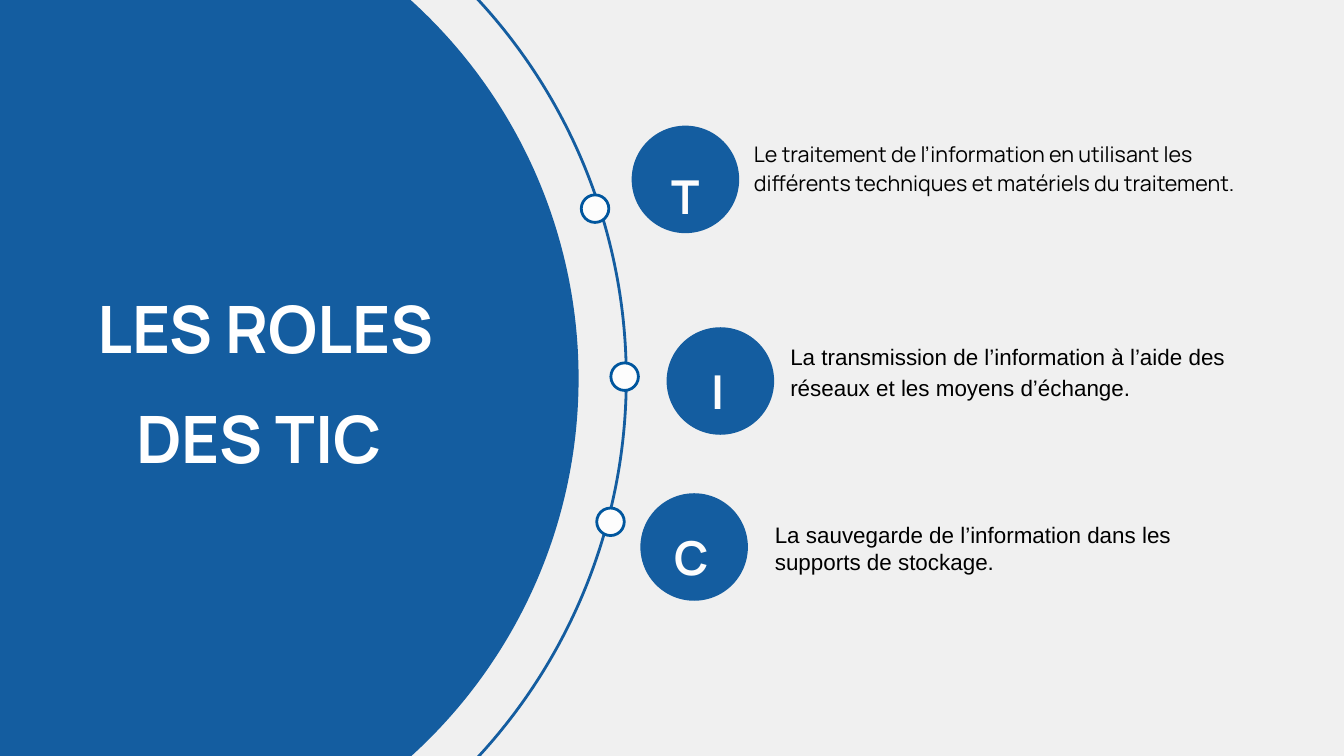
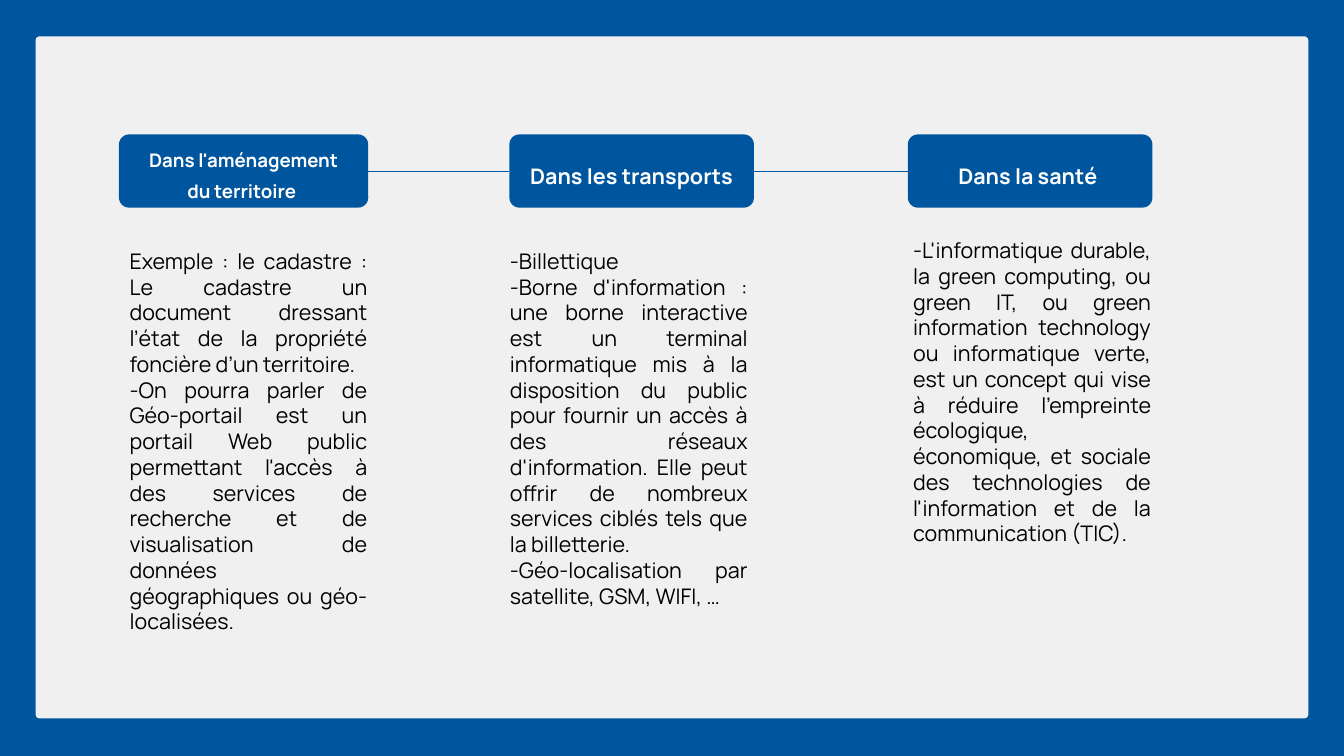
from lxml import etree
from pptx import Presentation
from pptx.dml.color import RGBColor
from pptx.enum import shapes, text
from pptx.oxml.ns import qn
from pptx.util import Inches, Pt

BLUE, DEEP, PALE, WHITE, BLACK = "145DA0", "00569E", "F0F0F0", "FDFDFD", "000000"
FONT = "Manrope"
LEFT, CENTER, JUSTIFY = text.PP_ALIGN.LEFT, text.PP_ALIGN.CENTER, text.PP_ALIGN.JUSTIFY
OVAL, ROUND = shapes.MSO_SHAPE.OVAL, shapes.MSO_SHAPE.ROUNDED_RECTANGLE

TITLE = "LES ROLES DES TIC "
ARC_CENTER, ARC_SIZE, DISC_SIZE = (1.02, 5.63), 16.6, 15.18
BADGE_SIZE, DOT_SIZE = 1.6, 0.41
ROLES = [
    dict(letter="T", badge=(9.4, 1.87), letter_at=(9.58, 2.16), dot=(8.65, 2.9),
         text_at=(11.22, 2.04), height=1.33, format=dict(size=23, spacing=1.15),
         text="Le traitement de l’information en utilisant les différents techniques "
              "et matériels du traitement."),
    dict(letter="I", badge=(9.92, 4.87), letter_at=(10.07, 5.06), dot=(9.09, 5.4),
         text_at=(11.76, 5.04), height=0.93, format=dict(size=24, font="Arial", spacing=1.15),
         text="La transmission de l’information à l’aide des réseaux et les moyens d’échange."),
    dict(letter="C", badge=(9.53, 7.34), letter_at=(9.68, 7.53), dot=(8.88, 7.56),
         text_at=(11.53, 7.75), height=0.81, format=dict(size=24, font="Arial"),
         text="La sauvegarde de l’information dans les supports de stockage."),
]

HEAD_TOP, HEAD_HEIGHT = 2, 1.09
DOMAINS = [
    dict(head="Dans l'aménagement du territoire ", size=20, left=1.77, width=3.71,
         body_at=(1.83, 3.64), height=6.53, body=[
             "Exemple : le cadastre : Le cadastre un document dressant l’état de la "
             "propriété foncière d’un territoire.",
             "-On pourra parler de Géo-portail est un portail Web public permettant l'accès "
             "à des services de recherche et de visualisation de données géographiques ou "
             "géo-localisées."]),
    dict(head="Dans les transports ", size=23, left=7.58, width=3.64,
         body_at=(7.49, 3.64), height=6.14, body=[
             "-Billettique",
             "-Borne d'information : une borne interactive est un terminal informatique mis à "
             "la disposition du public pour fournir un accès à des réseaux d'information. Elle "
             "peut offrir de nombreux services ciblés tels que la billetterie. ",
             "-Géo-localisation par satellite, GSM, WIFI, …"]),
    dict(head="Dans la santé ", size=23, left=13.51, width=3.64,
         body_at=(13.49, 3.48), height=6.53, body=[
             "-L'informatique durable, la green computing, ou green IT, ou green information "
             "technology ou informatique verte, est un concept qui vise à réduire l'empreinte "
             "écologique, économique, et sociale des technologies de l'information et de la "
             "communication (TIC)."]),
]


def rgb(value):
    return RGBColor.from_string(value)


def add_slide(prs, background):
    s = prs.slides.add_slide(prs.slide_layouts[6])
    s.background.fill.solid()
    s.background.fill.fore_color.rgb = rgb(background)
    return s


def add_shape(s, kind, left, top, width, height, fill=None, line=None, radius=None):
    sp = s.shapes.add_shape(kind, *map(Inches, (left, top, width, height)))
    sp.shadow.inherit = False
    if radius:
        sp.adjustments[0] = radius / min(width, height)
    if fill:
        sp.fill.solid()
        sp.fill.fore_color.rgb = rgb(fill)
    else:
        sp.fill.background()
    if line:
        sp.line.color.rgb = rgb(line)
        sp.line.width = Pt(3)
    else:
        sp.line.fill.background()
    return sp


def add_circle(s, center, size, **style):
    return add_shape(s, OVAL, center[0] - size / 2, center[1] - size / 2, size, size, **style)


def write(sp, paragraphs, size=23, font=FONT, color=BLACK, bold=False, align=LEFT,
          spacing=None, inset=(0, 0), anchor=text.MSO_ANCHOR.TOP):
    tf = sp.text_frame
    tf.word_wrap = True
    tf.vertical_anchor = anchor
    tf.margin_left = tf.margin_right = Inches(inset[0])
    tf.margin_top = tf.margin_bottom = Inches(inset[1])
    for i, content in enumerate(paragraphs):
        p = tf.add_paragraph() if i else tf.paragraphs[0]
        p.alignment = align
        if spacing:
            p.line_spacing = spacing
        r = p.add_run()
        r.text = content
        r.font.name, r.font.size, r.font.bold = font, Pt(size), bold
        r.font.color.rgb = rgb(color)


def add_text(s, at, width, height, paragraphs, **style):
    box = s.shapes.add_textbox(*map(Inches, (*at, width, height)))
    write(box, paragraphs, **style)


def add_line(s, start, end):
    line = s.shapes.add_connector(shapes.MSO_CONNECTOR.STRAIGHT, *map(Inches, (*start, *end)))
    line.line.color.rgb = rgb(DEEP)
    line.line.width = Pt(0.75)
    etree.SubElement(line._element.spPr, qn("a:effectLst"))


def build_roles(prs):
    s = add_slide(prs, PALE)
    add_circle(s, ARC_CENTER, ARC_SIZE, line=BLUE)
    add_circle(s, ARC_CENTER, DISC_SIZE, fill=BLUE)
    for role in ROLES:
        add_shape(s, OVAL, *role["badge"], BADGE_SIZE, BADGE_SIZE, fill=BLUE)
        add_text(s, role["letter_at"], 1.24, 1.18, [role["letter"]],
                 size=50, color=WHITE, bold=True, align=CENTER, spacing=1.4)
        add_shape(s, OVAL, *role["dot"], DOT_SIZE, DOT_SIZE, fill=WHITE, line=DEEP)
        add_text(s, role["text_at"], 7.22, role["height"], [role["text"]], **role["format"])
    add_text(s, (1.02, 3.82), 5.86, 3.3, [TITLE],
             size=70, color="FFFFFF", bold=True, align=CENTER, spacing=1.4)


def build_domains(prs):
    s = add_slide(prs, DEEP)
    add_shape(s, ROUND, 0.53, 0.54, 18.94, 10.15, fill=PALE, radius=0.06)
    for domain in DOMAINS:
        head = add_shape(s, ROUND, domain["left"], HEAD_TOP, domain["width"], HEAD_HEIGHT,
                         fill=DEEP, radius=0.15)
        write(head, [domain["head"]], size=domain["size"], color="FFFFFF", bold=True,
              align=CENTER, spacing=1.4, inset=(0.24, 0.24), anchor=text.MSO_ANCHOR.MIDDLE)
        add_text(s, domain["body_at"], 3.74, domain["height"], domain["body"],
                 align=JUSTIFY, inset=(0.1, 0.05))
    middle = HEAD_TOP + HEAD_HEIGHT / 2
    for a, b in zip(DOMAINS, DOMAINS[1:]):
        add_line(s, (a["left"] + a["width"], middle), (b["left"], middle))


def main():
    prs = Presentation()
    prs.slide_width, prs.slide_height = Inches(20), Inches(11.25)
    build_roles(prs)
    build_domains(prs)
    prs.save("out.pptx")


if __name__ == "__main__":
    main()
